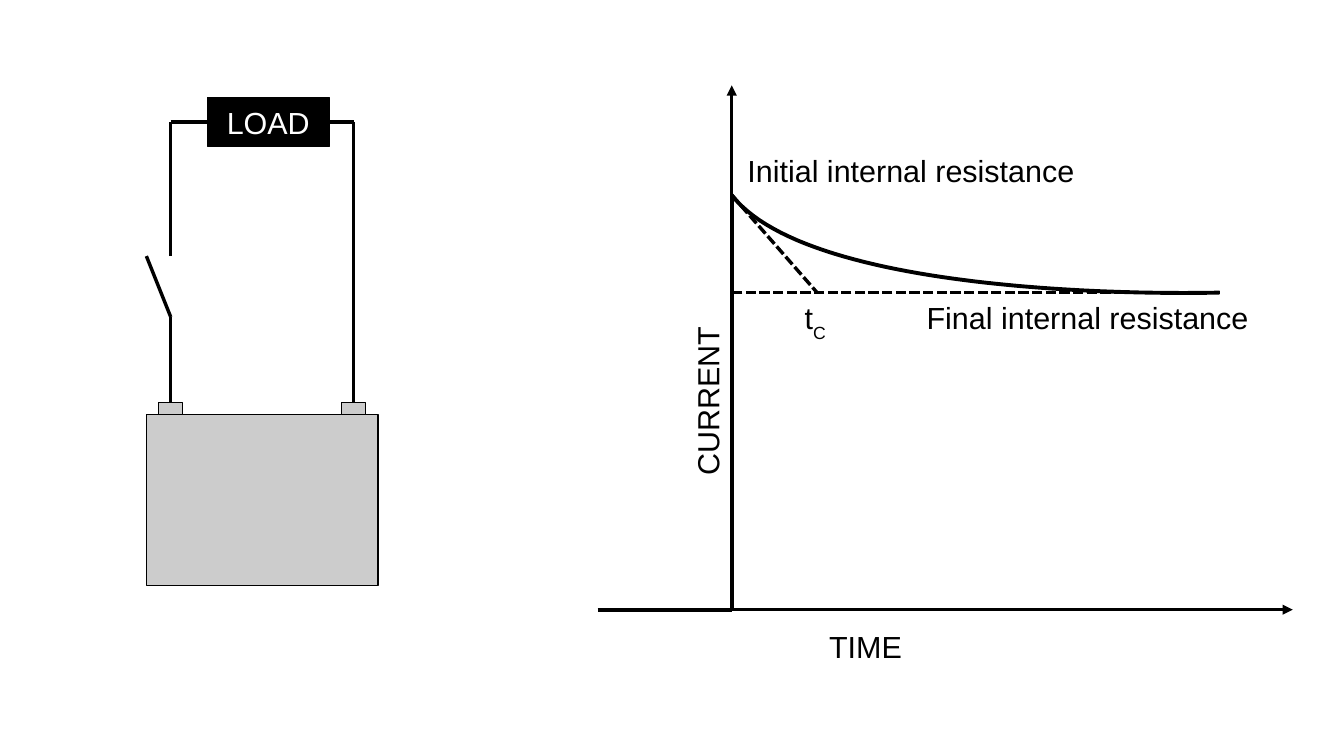
from lxml.etree import SubElement
from pptx import Presentation
from pptx.dml.color import RGBColor
from pptx.enum.dml import MSO_LINE
from pptx.enum.shapes import MSO_CONNECTOR, MSO_SHAPE
from pptx.enum.text import MSO_ANCHOR, MSO_AUTO_SIZE, PP_ALIGN
from pptx.oxml.ns import qn
from pptx.util import Inches, Pt

BLACK = RGBColor(0x00, 0x00, 0x00)
WHITE = RGBColor(0xFF, 0xFF, 0xFF)
GREY = RGBColor(0xCC, 0xCC, 0xCC)

CELL = 0.1  # inches per grid column and row
HAIRLINE, CURVE_WIDTH = 0, 2.3
TOP = 0


def grid(*counts):
    return [Inches(count * CELL) for count in counts]


def apply(target, values):
    for name, value in values.items():
        setattr(target, name, value)


class Diagram:
    """Draws on one slide; all lengths are grid columns and rows."""

    font = {"name": "Arial", "size": Pt(18)}

    def __init__(self, slide):
        self.shapes = slide.shapes

    def outline(self, shape, width=HAIRLINE, dash=None):
        shape.line.color.rgb = BLACK
        apply(shape.line, {"width": Pt(width), "dash_style": dash})

    def add_words(self, paragraph, text, color=BLACK):
        run = paragraph.add_run()
        run.text = text
        apply(run.font, self.font)
        run.font.color.rgb = color
        return run

    def box(self, left, top, width, height, fill=GREY, text=None):
        box = self.shapes.add_shape(
            MSO_SHAPE.RECTANGLE, *grid(left, top, width, height))
        box.shadow.inherit = False
        box.fill.solid()
        box.fill.fore_color.rgb = fill
        self.outline(box)
        if text:
            apply(box.text_frame, {"word_wrap": False,
                                   "vertical_anchor": MSO_ANCHOR.MIDDLE})
            paragraph = box.text_frame.paragraphs[0]
            paragraph.alignment = PP_ALIGN.CENTER
            self.add_words(paragraph, text, WHITE)
        return box

    def line(self, start, end, width=HAIRLINE, dash=None, arrow=False):
        line = self.shapes.add_connector(
            MSO_CONNECTOR.STRAIGHT, *grid(*start, *end))
        self.outline(line, width, dash)
        properties = line._element.spPr
        if arrow:
            SubElement(properties.find(qn("a:ln")), qn("a:tailEnd"),
                       type="triangle")
        SubElement(properties, qn("a:effectLst"))
        return line

    def label(self, left, top, width, text, subscript=None,
              height=3.8, wrap=False, rotation=0):
        label = self.shapes.add_textbox(*grid(left, top, width, height))
        label.rotation = rotation
        apply(label.text_frame, {"word_wrap": wrap,
                                 "auto_size": MSO_AUTO_SIZE.SHAPE_TO_FIT_TEXT})
        paragraph = label.text_frame.paragraphs[0]
        self.add_words(paragraph, text)
        if subscript:
            run = self.add_words(paragraph, subscript)
            run._r.get_or_add_rPr().set("baseline", "-33000")

    def curve(self, *controls, steps=60):
        """Draws a cubic Bezier curve through its four control points."""
        def at(t):
            weights = ((1 - t) ** 3, 3 * t * (1 - t) ** 2,
                       3 * t ** 2 * (1 - t), t ** 3)
            return grid(*(sum(w * c for w, c in zip(weights, axis))
                          for axis in zip(*controls)))

        points = [at(step / steps) for step in range(steps + 1)]
        builder = self.shapes.build_freeform(*points[0])
        builder.add_line_segments(points[1:], close=False)
        curve = builder.convert_to_shape()
        curve.shadow.inherit = False
        curve.fill.background()
        self.outline(curve, CURVE_WIDTH)


def draw_circuit(diagram):
    left_wire, right_wire, wire_top, battery_top = 14, 29, 10, 34
    terminal_top = battery_top - 1
    switch_open, switch_pivot = 21, 26

    diagram.box(12, battery_top, 19, 14)
    left_terminal, right_terminal = (
        diagram.box(wire - 1, terminal_top, 2, 1)
        for wire in (left_wire, right_wire))

    lower_wire = diagram.line((left_wire, terminal_top),
                              (left_wire, switch_pivot))
    lower_wire.begin_connect(left_terminal, TOP)
    diagram.line((left_wire, switch_pivot), (12, switch_open))
    diagram.line((left_wire, switch_open), (left_wire, wire_top))
    diagram.line((left_wire, wire_top), (right_wire, wire_top))
    diagram.box(17, wire_top - 2, 10, 4, BLACK, "LOAD")
    return_wire = diagram.line((right_wire, wire_top),
                               (right_wire, terminal_top))
    return_wire.end_connect(right_terminal, TOP)


def draw_current_plot(diagram):
    origin, peak = (60, 50), (60, 16)
    final_level, curve_end = 24, (100, 24)

    diagram.line(origin, (60, 7), arrow=True)
    diagram.label(50.8, 31, 14.2, "CURRENT", rotation=270)
    diagram.line((50, 50), (106, 50), arrow=True)
    diagram.label(67, 51, 33, "TIME", wrap=True)

    diagram.line((49, 50), origin, CURVE_WIDTH)
    diagram.line(origin, peak, CURVE_WIDTH)
    diagram.curve(peak, (67, 25), curve_end, curve_end)
    diagram.label(60.3, 12, 28.8, "Initial internal resistance")
    diagram.label(75, final_level, 28.4, "Final internal resistance")

    for start, end in ((curve_end, (60, final_level)),
                       (peak, (67, final_level))):
        diagram.line(start, end, dash=MSO_LINE.SQUARE_DOT)
    diagram.label(65, final_level, 6, "t", "C", height=4.4, wrap=True)


def main():
    deck = Presentation()
    apply(deck, {"slide_width": Inches(11.02), "slide_height": Inches(6.2)})
    blank_layout = deck.slide_layouts[6]
    diagram = Diagram(deck.slides.add_slide(blank_layout))
    draw_circuit(diagram)
    draw_current_plot(diagram)
    deck.save("out.pptx")


if __name__ == "__main__":
    main()
